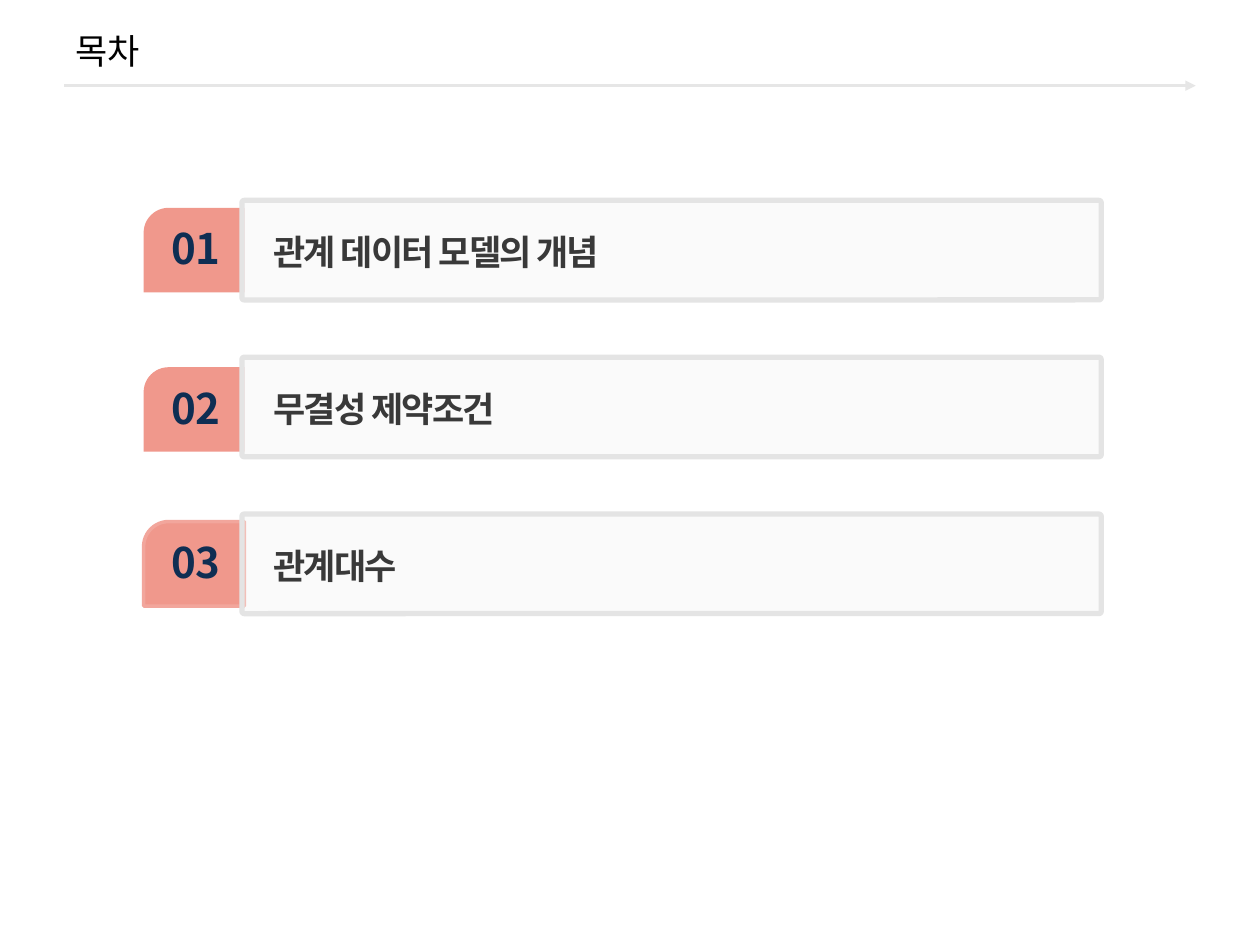
from pptx import Presentation
from pptx.dml.color import RGBColor
from pptx.enum.shapes import MSO_CONNECTOR, MSO_SHAPE
from pptx.enum.text import MSO_ANCHOR, MSO_AUTO_SIZE, PP_ALIGN
from pptx.oxml import parse_xml
from pptx.oxml.ns import nsdecls, qn
from pptx.util import Inches, Pt

WIDTH, HEIGHT = 10, 7.5
FONT = "Noto Sans CJK KR"
NUMBER_STOPS = ((0, "0B203B"), (50, "0F2E53"), (100, "123663"))

# Row grid: cards start at FIRST_ROW and repeat every ROW_PITCH
FIRST_ROW, ROW_PITCH = 1.59, 1.245
TOPICS = (  # topic, badge offset within its row, badge outline
    ("관계 데이터 모델의 개념", 0.06, None),
    ("무결성 제약조건", 0.08, None),
    ("관계대수", 0.06, ("F2A69C", 2)),
)


def color(hex_value):
    return RGBColor.from_string(hex_value)


def set_line(line, hex_value, width):
    line.color.rgb = color(hex_value)
    line.width = Pt(width)


def add_block(parent, preset, box, adjustments, fill, outline=None, opacity=None):
    block = parent.shapes.add_shape(preset, *map(Inches, box))
    block.shadow.inherit = False
    for index, value in enumerate(adjustments):
        block.adjustments[index] = value
    block.fill.solid()
    block.fill.fore_color.rgb = color(fill)
    if opacity:
        tint = block.fill._xPr.find(qn("a:solidFill"))[0]
        tint.append(parse_xml(f'<a:alpha {nsdecls("a")} val="{opacity * 1000}"/>'))
    if outline:
        set_line(block.line, *outline)
    else:
        block.line.fill.background()


def add_text(parent, text, box, size, frame_format, paragraph_format, bold=False, fill=None):
    frame = parent.shapes.add_textbox(*map(Inches, box)).text_frame
    for name, value in frame_format.items():
        setattr(frame, name, value)
    paragraph = frame.paragraphs[0]
    for name, value in paragraph_format.items():
        setattr(paragraph, name, value)
    run = paragraph.add_run()
    run.text = text
    for name, value in {"size": Pt(size), "bold": bold, "name": FONT}.items():
        setattr(run.font, name, value)
    if fill:
        run.font.color.rgb = color(fill)
    properties = run._r.get_or_add_rPr()
    properties.append(parse_xml(f'<a:ea {nsdecls("a")} typeface="{FONT}"/>'))
    return properties


def add_heading(slide):
    rule = slide.shapes.add_connector(
        MSO_CONNECTOR.STRAIGHT, *map(Inches, (0.51, 0.68, WIDTH - 0.51, 0.68)))
    set_line(rule.line, "E6E6E6", 1.5)
    rule.line._get_or_add_ln().append(parse_xml(f'<a:tailEnd {nsdecls("a")} type="triangle"/>'))
    rule._element.spPr.append(parse_xml(f'<a:effectLst {nsdecls("a")}/>'))
    add_text(slide, "목차", (0.5, 0.08, WIDTH - 1, 0.64), 20,
             {"word_wrap": True, "vertical_anchor": MSO_ANCHOR.MIDDLE}, {}, fill="000000")


def add_number(row, number, top):
    properties = add_text(
        row, f"{number:02}", (1.26, top, 0.59, 0.5), 24,
        {"word_wrap": False, "auto_size": MSO_AUTO_SIZE.SHAPE_TO_FIT_TEXT},
        {"alignment": PP_ALIGN.CENTER}, bold=True)
    stops = "".join(f'<a:gs pos="{share * 1000}"><a:srgbClr val="{shade}"/></a:gs>'
                    for share, shade in NUMBER_STOPS)
    properties.insert(0, parse_xml(
        f'<a:gradFill {nsdecls("a")}><a:gsLst>{stops}</a:gsLst>'
        '<a:lin ang="16200000" scaled="0"/></a:gradFill>'))


def add_topic(slide, number, topic, badge_offset, badge_outline):
    top = FIRST_ROW + (number - 1) * ROW_PITCH
    row = slide.shapes.add_group_shape()
    # Numbered badge, tucked under the card
    add_block(row, MSO_SHAPE.SNIP_ROUND_RECTANGLE, (1.14, top + badge_offset, 0.8, 0.67),
              (0.296, 0), "F0988C", badge_outline)
    add_number(row, number, top + badge_offset + 0.07)
    # Card with the topic
    add_block(row, MSO_SHAPE.ROUNDED_RECTANGLE, (1.92, top, 6.82, 0.79),
              (0.023,), "F2F2F2", ("E4E4E4", 3), opacity=33)
    properties = add_text(
        row, topic, (2.07, top + 0.16, 5.28, 0.44), 20,
        {"word_wrap": True, "auto_size": MSO_AUTO_SIZE.SHAPE_TO_FIT_TEXT},
        {"line_spacing": 1.1, "space_after": Pt(3)}, bold=True, fill="393939")
    properties.set("spc", "-100")


def main():
    deck = Presentation()
    deck.slide_width, deck.slide_height = Inches(WIDTH), Inches(HEIGHT)
    slide = deck.slides.add_slide(deck.slide_layouts[6])
    add_heading(slide)
    for number, topic in enumerate(TOPICS, start=1):
        add_topic(slide, number, *topic)
    deck.save("out.pptx")


if __name__ == "__main__":
    main()
